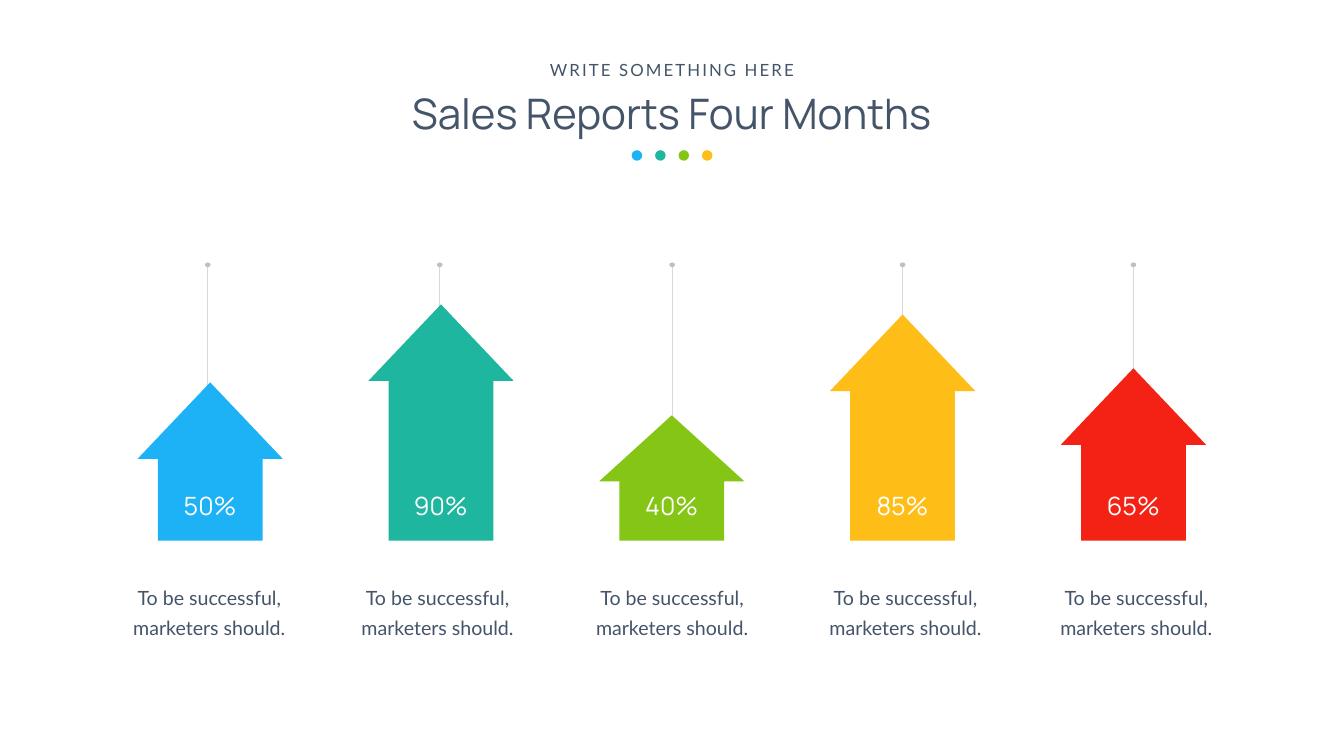
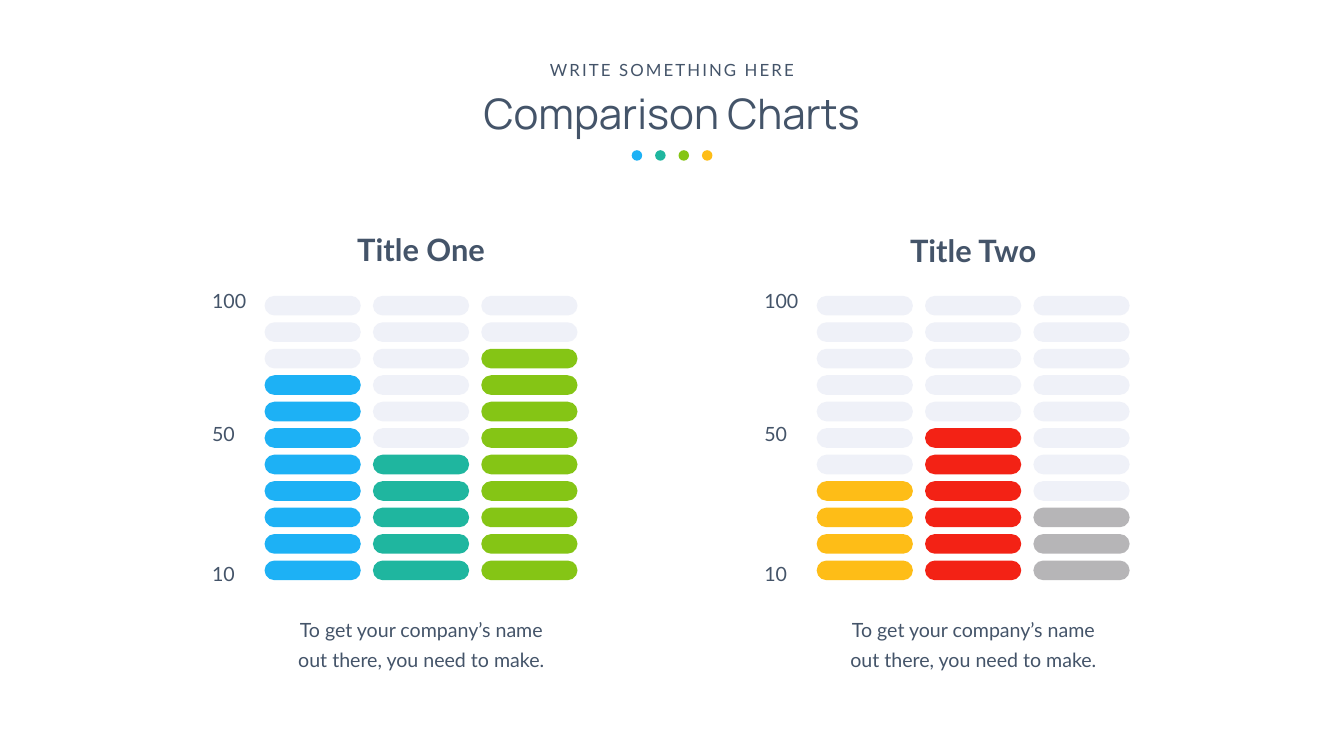
from lxml import etree
from pptx import Presentation
from pptx.dml.color import RGBColor
from pptx.enum.shapes import MSO_CONNECTOR, MSO_SHAPE
from pptx.enum.text import MSO_ANCHOR, MSO_AUTO_SIZE, PP_ALIGN
from pptx.oxml.ns import qn
from pptx.util import Cm, Pt

LEFT, CENTER = PP_ALIGN.LEFT, PP_ALIGN.CENTER
TOP = MSO_ANCHOR.TOP
GROW = MSO_AUTO_SIZE.SHAPE_TO_FIT_TEXT
OVAL, ARROW, PILL = MSO_SHAPE.OVAL, MSO_SHAPE.UP_ARROW, MSO_SHAPE.ROUNDED_RECTANGLE
STRAIGHT = MSO_CONNECTOR.STRAIGHT

# Colours and fonts
INK = RGBColor(0x44, 0x54, 0x69)
WHITE = RGBColor(0xFF, 0xFF, 0xFF)
BLUE = RGBColor(0x1D, 0xB1, 0xF5)
TEAL = RGBColor(0x1F, 0xB6, 0x9F)
GREEN = RGBColor(0x85, 0xC5, 0x15)
GOLD = RGBColor(0xFE, 0xBD, 0x17)
RED = RGBColor(0xF3, 0x22, 0x15)
GREY = RGBColor(0xB6, 0xB5, 0xB7)
PALE = RGBColor(0xEF, 0xF1, 0xF8)
WIRE = RGBColor(0xD9, 0xD9, 0xD9)
KNOB = RGBColor(0xBF, 0xBF, 0xBF)
HEAD, BODY = "Manrope", "Lato"

WIDE, HIGH = 67.72, 38.1
LEAD = 43  # line spacing of body text, in points


def place(shape, x, y, w, h):
    shape.left, shape.top, shape.width, shape.height = Cm(x), Cm(y), Cm(w), Cm(h)


def write(shape, words, size, font=BODY, color=INK, align=CENTER,
          lead=None, bold=False, wrap=True):
    frame = shape.text_frame
    frame.word_wrap = wrap
    frame.auto_size = GROW
    frame.vertical_anchor = TOP
    para = frame.paragraphs[0]
    para.alignment = align
    if lead:
        para.line_spacing = Pt(lead)
    run = para.add_run()
    run.text = words
    run.font.name, run.font.size, run.font.bold = font, Pt(size), bold
    run.font.color.rgb = color
    return run


def label(slide, x, y, w, h, words, size, **style):
    box = slide.shapes.add_textbox(Cm(x), Cm(y), Cm(w), Cm(h))
    return box, write(box, words, size, **style)


def solid(slide, kind, x, y, w, h, color, *tune):
    shape = slide.shapes.add_shape(kind, Cm(x), Cm(y), Cm(w), Cm(h))
    shape.shadow.inherit = False
    shape.fill.solid()
    shape.fill.fore_color.rgb = color
    shape.line.fill.background()
    for i, value in enumerate(tune):
        shape.adjustments[i] = value


def string(slide, x, top, end):
    line = slide.shapes.add_connector(STRAIGHT, Cm(x), Cm(top), Cm(x), Cm(end))
    line.line.color.rgb = WIRE
    line.line.width = Pt(1)
    etree.SubElement(line._element.spPr, qn("a:effectLst"))


def header(deck, words):
    """Start a slide with title, kicker and a row of dots."""
    slide = deck.slides.add_slide(deck.slide_layouts[5])
    title = slide.shapes.title
    place(title, 14.68, 4.27, 38.33, 2.82)
    write(title, words, 60, font=HEAD)
    _, run = label(slide, 27.33, 2.87, 13.06, 1.27, "WRITE SOMETHING HERE", 24,
                   wrap=False)
    run._r.get_or_add_rPr().set("spc", "300")
    for i, color in enumerate((BLUE, TEAL, GREEN, GOLD)):
        solid(slide, OVAL, 31.83 + 1.18 * i, 7.57, 0.53, 0.53, color)
    return slide


def column(slide, x, base, share, color, tall, pin, note):
    """One hanging arrow; pin and note are offsets from its left edge."""
    string(slide, x + pin, base - 13.86, base - 5.79)
    solid(slide, ARROW, x, base - tall, 7.32, tall, color, 0.721, 0.527)
    label(slide, x + 0.66, base - 2.66, 5.99, 1.8, share, 36, font=HEAD, color=WHITE)
    solid(slide, OVAL, x + pin - 0.13, base - 14.02, 0.28, 0.23, KNOB)
    label(slide, x + note, base + 1.83, 10.57, 3.15,
          "To be successful, marketers should.", 28, lead=LEAD)


def sales(deck):
    slide = header(deck, "Sales Reports Four Months")
    columns = (
        ("50%", BLUE, 7.98, 3.53, -1.67),
        ("90%", TEAL, 11.91, 3.59, -1.8),
        ("40%", GREEN, 6.32, 3.67, -1.61),
        ("85%", GOLD, 11.4, 3.65, -1.48),
        ("65%", RED, 8.69, 3.65, -1.48),
    )
    for i, data in enumerate(columns):
        column(slide, 6.93 + 11.63 * i, 27.25, *data)


def panel(slide, x, y, title, rise, span, bars):
    """A pill chart; x is its left edge, y the top of its pills."""
    rows, tall = 11, 13.34
    # Pills, filled from the bottom up
    for i, (count, color) in enumerate(bars):
        for row in range(rows):
            solid(slide, PILL, x + 3.25 + 5.46 * i, y + tall * row / (rows - 1),
                  4.85, 0.99, color if row >= rows - count else PALE, 0.5)
    # Scale
    for mark, drop in (("10", 12.78), ("100", -0.97), ("50", 5.71)):
        box, _ = label(slide, x, y + drop, 3.1, 1.98, mark, 28, align=LEFT, lead=LEAD)
        frame = box.text_frame
        frame.margin_left = frame.margin_right = Cm(0.61)
        frame.margin_top = frame.margin_bottom = Cm(0.3)
    # Title and caption share the centre line
    mid = x + 11.14
    label(slide, mid - span / 2, y - rise, span, 2.13, title, 44, bold=True)
    label(slide, mid - 6.98, y + 15.75, 13.97, 3.18,
          "To get your company’s name out there, you need to make.", 28, lead=LEAD)


def compare(deck):
    slide = header(deck, "Comparison Charts")
    panel(slide, 10.08, 14.91, "Title One", 3.43, 10.67,
          ((8, BLUE), (5, TEAL), (9, GREEN)))
    panel(slide, 37.9, 14.91, "Title Two", 3.35, 12.47,
          ((4, GOLD), (6, RED), (3, GREY)))


def main():
    deck = Presentation()
    deck.slide_width, deck.slide_height = Cm(WIDE), Cm(HIGH)
    sales(deck)
    compare(deck)
    deck.save("out.pptx")


if __name__ == "__main__":
    main()
